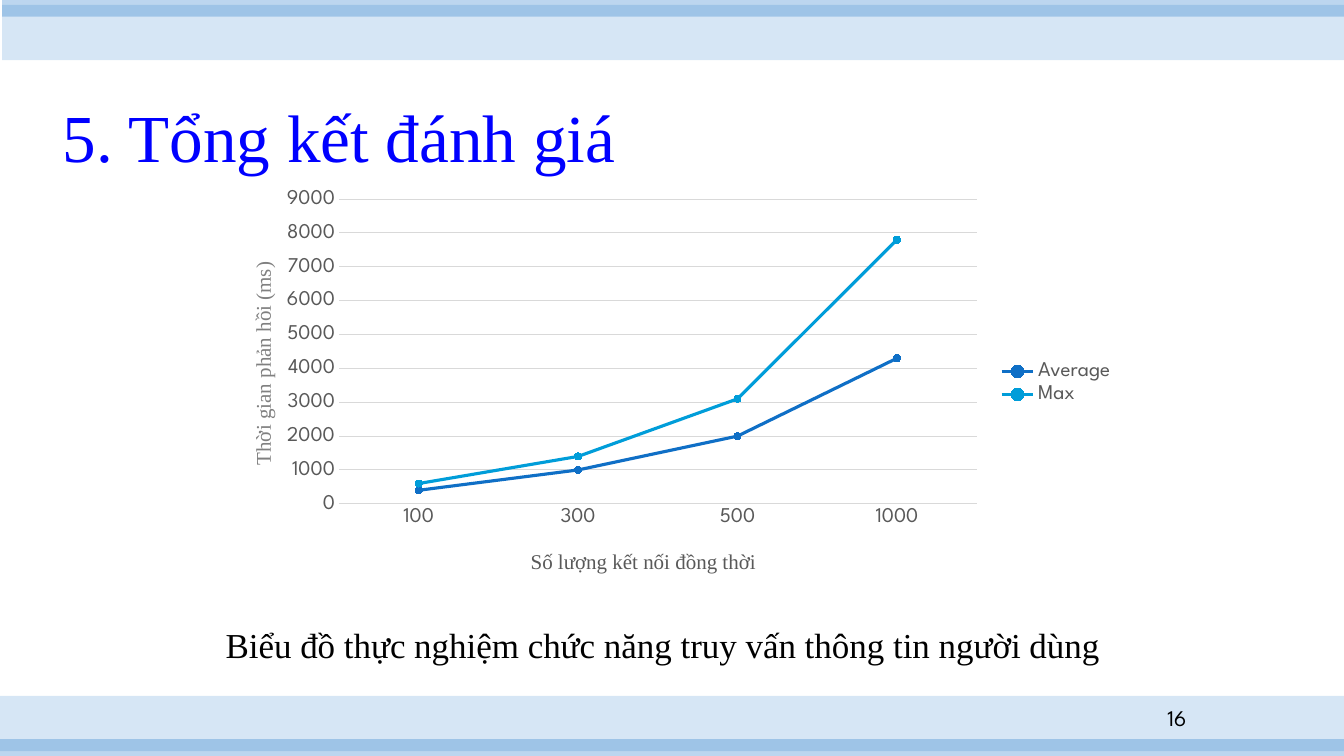
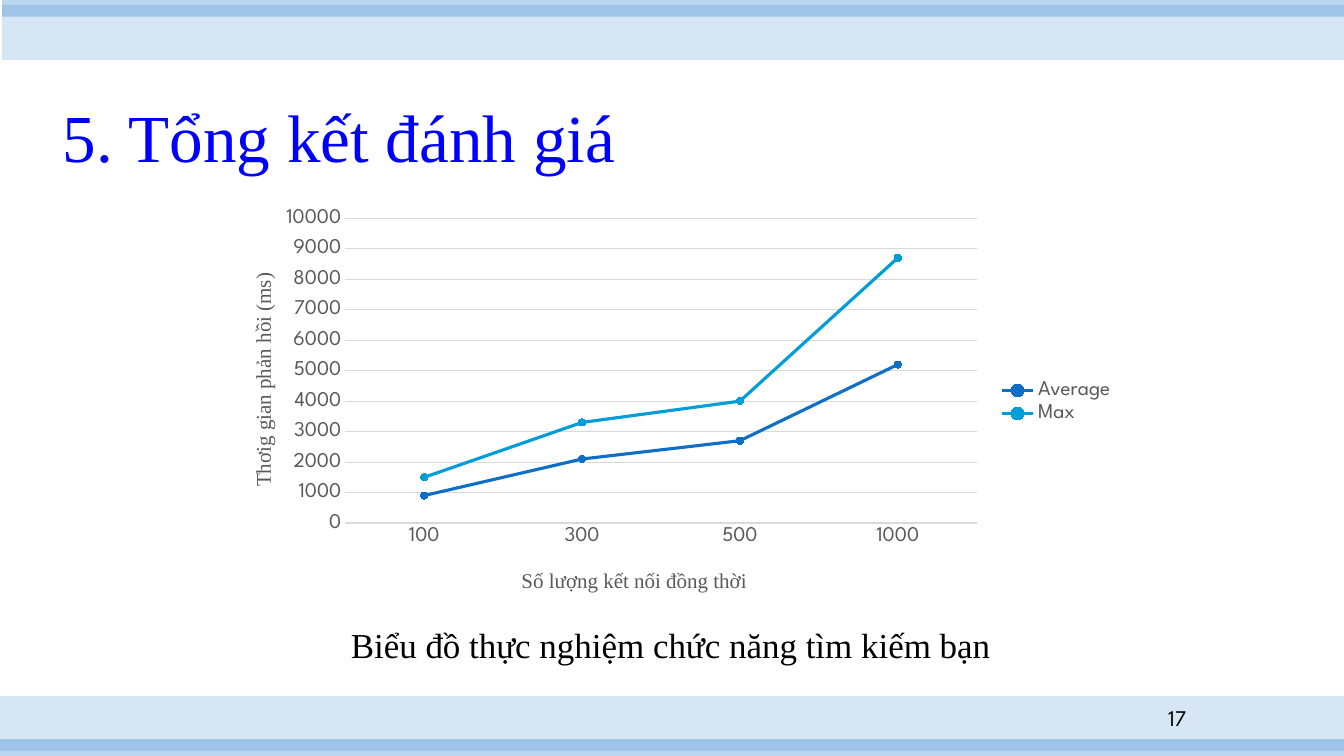
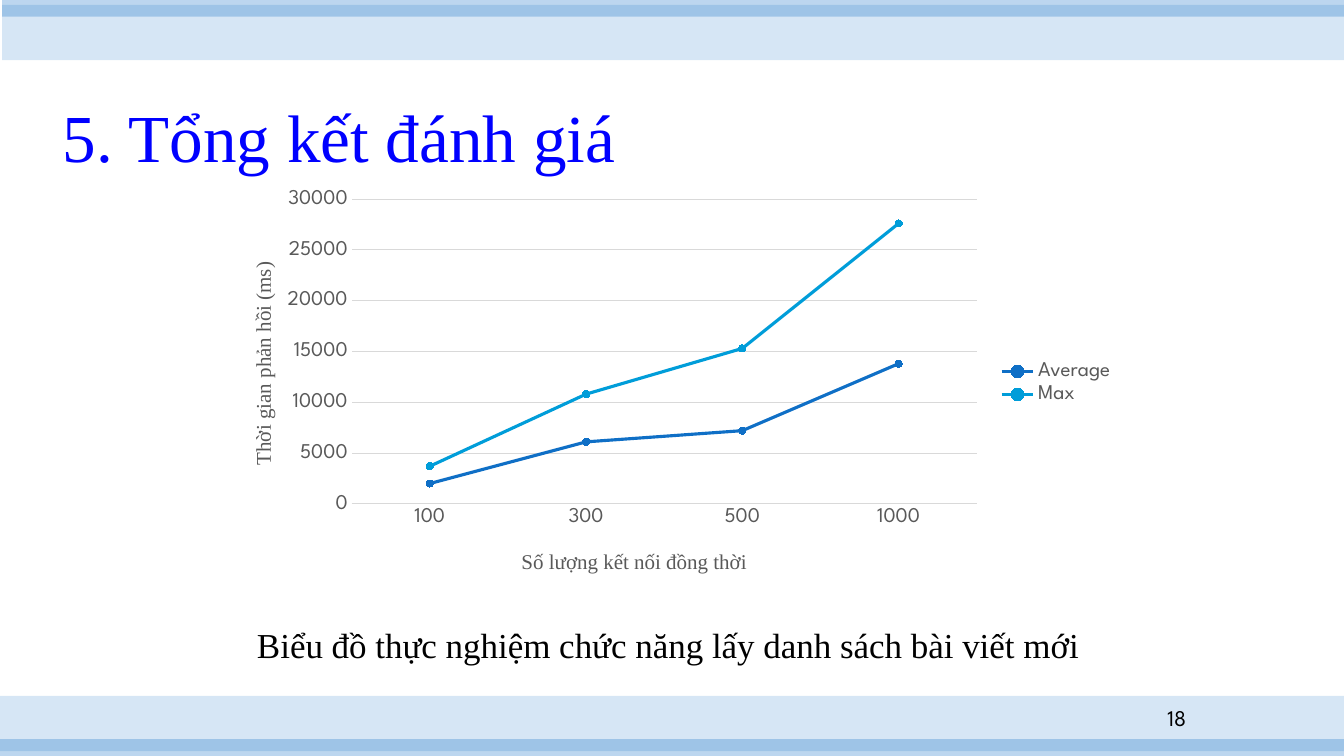
from pptx import Presentation
from pptx.chart.data import CategoryChartData
from pptx.dml.color import RGBColor
from pptx.enum.chart import XL_CHART_TYPE, XL_LEGEND_POSITION, XL_MARKER_STYLE, XL_TICK_MARK
from pptx.enum.shapes import MSO_SHAPE
from pptx.enum.text import MSO_ANCHOR, MSO_AUTO_SIZE, PP_ALIGN
from pptx.oxml import parse_xml
from pptx.oxml.ns import nsdecls, qn
from pptx.util import Pt

HEX = {"band": "0F6FC6", "title": "0000FF", "text": "000000", "label": "595959",
       "pale": "808080", "grid": "D9D9D9", "Average": "0F6FC6", "Max": "009DD9"}
RGB = {name: RGBColor.from_string(code) for name, code in HEX.items()}
SANS, SERIF = "League Spartan", "Times New Roman"
WIDE, HIGH = 960, 540

# Left, top, width, height, opacity in percent
BANDS = [(0, 497, WIDE, 39.5, 17), (0, 528, WIDE, 12, 28),
         (1.5, 3.5, WIDE - 1.5, 39.5, 17), (1.5, 0, WIDE - 1.5, 12, 28)]

# "plot" is the left edge of the plot area; "cat" and "val" place the axis titles
PAGES = [
    {"num": 16, "top": 129.6, "max": 9000, "step": 1000, "plot": 0.133,
     "cat": (0.34, 0.9), "val": (0.03, 0.19), "tone": "pale",
     "name": "Thời gian phản hồi (ms)",
     "data": {"Average": (400, 1000, 2000, 4300), "Max": (600, 1400, 3100, 7800)},
     "note": "Biểu đồ thực nghiệm chức năng truy vấn thông tin người dùng",
     "box": (154, 652)},
    {"num": 17, "top": 143.3, "max": 10000, "step": 1000, "plot": 0.14,
     "cat": (0.33, 0.9), "val": (0.03, 0.17), "tone": "label",
     "name": "Thơig gian phản hồi (ms)",
     "data": {"Average": (900, 2100, 2700, 5200), "Max": (1500, 3300, 4000, 8700)},
     "note": "Biểu đồ thực nghiệm chức năng tìm kiếm bạn",
     "box": (243.5, 473)},
    {"num": 18, "top": 129.6, "max": 30000, "step": 5000, "plot": 0.147,
     "cat": (0.33, 0.9), "val": (0.03, 0.19), "tone": "label",
     "name": "Thời gian phản hồi (ms)",
     "data": {"Average": (2000, 6100, 7200, 13800), "Max": (3700, 10800, 15300, 27600)},
     "note": "Biểu đồ thực nghiệm chức năng lấy danh sách bài viết mới",
     "box": (176.5, 606)},
]


def style(font, face, size, tone):
    font.name, font.size, font.bold = face, Pt(size), False
    font.color.rgb = RGB[tone]


def place(node, pos, **part):
    """Give a chart part a fixed place, as fractions of the chart."""
    old = node.find(qn("c:layout"))
    if old is not None:
        node.remove(old)
    tags = "".join(f'<c:{key} val="{val}"/>' for key, val in part.items())
    node.insert(pos, parse_xml(f'<c:layout {nsdecls("c")}><c:manualLayout>{tags}'
                               '</c:manualLayout></c:layout>'))


prs = Presentation()
prs.slide_width, prs.slide_height = Pt(WIDE), Pt(HIGH)
base = prs.slide_layouts[5]

for page in PAGES:
    slide = prs.slides.add_slide(base)
    shapes = slide.shapes

    # Bands, drawn once and kept on the shared layout
    if page is PAGES[0]:
        for pos, (*area, alpha) in enumerate(BANDS, 2):
            band = shapes.add_shape(MSO_SHAPE.RECTANGLE, *map(Pt, area))
            band.shadow.inherit = False
            band.line.fill.background()
            band.fill.solid()
            band.fill.fore_color.rgb = RGB["band"]
            tint = band.element.spPr.find(".//" + qn("a:srgbClr"))
            tint.append(parse_xml(f'<a:alpha {nsdecls("a")} val="{alpha * 1000}"/>'))
            base.shapes.element.insert(pos, band.element)

    # Title
    title = shapes.title
    title.left, title.top, title.width, title.height = map(Pt, (33, 53, 418.5, 77))
    frame = title.text_frame
    frame.text = "5. Tổng kết đánh giá"
    frame.auto_size = MSO_AUTO_SIZE.NONE
    frame.vertical_anchor = MSO_ANCHOR.BOTTOM
    para = frame.paragraphs[0]
    para.alignment, para.line_spacing = PP_ALIGN.CENTER, 0.9
    style(para.runs[0].font, SERIF, 48, "title")

    # Caption and page number
    left, width = page["box"]
    for text, area, face, size, align in (
            (page["note"], (left, 441.5, width, 37.5), SERIF, 25, PP_ALIGN.LEFT),
            (str(page["num"]), (804, 503.5, 50.5, 18.5), SANS, 16, PP_ALIGN.RIGHT)):
        frame = shapes.add_textbox(*map(Pt, area)).text_frame
        frame.word_wrap = True
        frame.vertical_anchor = MSO_ANCHOR.MIDDLE
        frame.text = text
        para = frame.paragraphs[0]
        para.alignment = align
        style(para.runs[0].font, face, size, "text")

    # Chart
    data = CategoryChartData()
    data.categories = ["100", "300", "500", "1000"]
    for name, vals in page["data"].items():
        data.add_series(name, vals)
    chart = shapes.add_chart(XL_CHART_TYPE.LINE_MARKERS, Pt(156), Pt(page["top"]),
                             Pt(648), Pt(288), data).chart
    style(chart.font, SANS, 15, "label")
    chart.has_title = False
    chart.has_legend = True
    chart.legend.position = XL_LEGEND_POSITION.RIGHT
    chart.legend.include_in_layout = False
    style(chart.legend.font, SANS, 15, "label")
    plot = page["plot"]
    place(chart.element.find(".//" + qn("c:plotArea")), 0, layoutTarget="inner",
          xMode="edge", yMode="edge", x=plot, y=0.044, w=round(0.836 - plot, 3), h=0.756)

    # Series
    chart.plots[0].vary_by_categories = False
    for line in chart.plots[0].series:
        tone = RGB[line.name]
        line.smooth = False
        line.format.line.width = Pt(2.25)
        line.format.line.color.rgb = tone
        mark = line.marker
        mark.style, mark.size = XL_MARKER_STYLE.CIRCLE, 5
        mark.format.fill.solid()
        mark.format.fill.fore_color.rgb = tone
        mark.format.line.color.rgb = tone

    # Axes
    cat, val = chart.category_axis, chart.value_axis
    for axis, text, tone, (x, y) in (
            (cat, "Số lượng kết nối đồng thời", "label", page["cat"]),
            (val, page["name"], page["tone"], page["val"])):
        axis.major_tick_mark = axis.minor_tick_mark = XL_TICK_MARK.NONE
        style(axis.tick_labels.font, SANS, 15, "label")
        head = axis.axis_title
        head.text_frame.text = text
        style(head.text_frame.paragraphs[0].runs[0].font, SERIF, 15, tone)
        place(head.element, 1, xMode="edge", yMode="edge", x=x, y=y)
    val.minimum_scale, val.maximum_scale, val.major_unit = 0, page["max"], page["step"]
    val.format.line.fill.background()
    val.has_major_gridlines = True
    for rule in (cat.format.line, val.major_gridlines.format.line):
        rule.width = Pt(0.75)
        rule.color.rgb = RGB["grid"]

prs.save("out.pptx")
